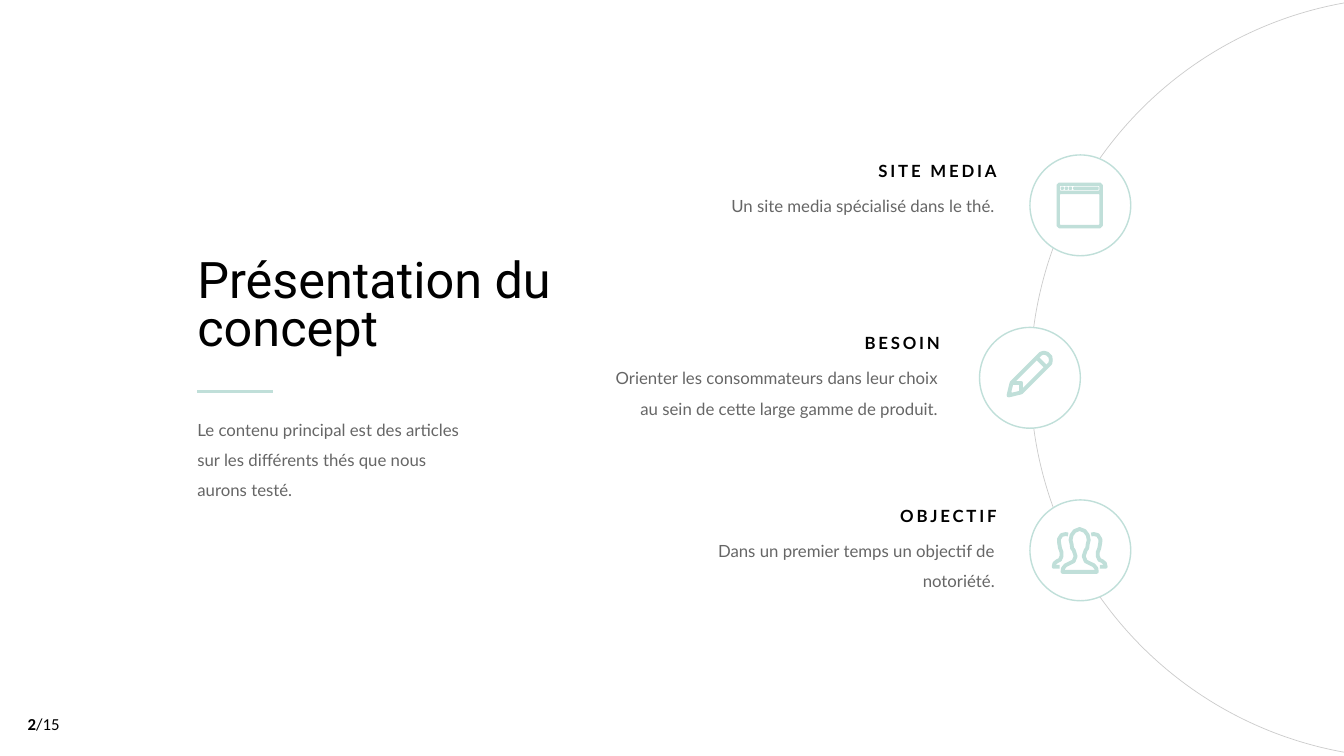
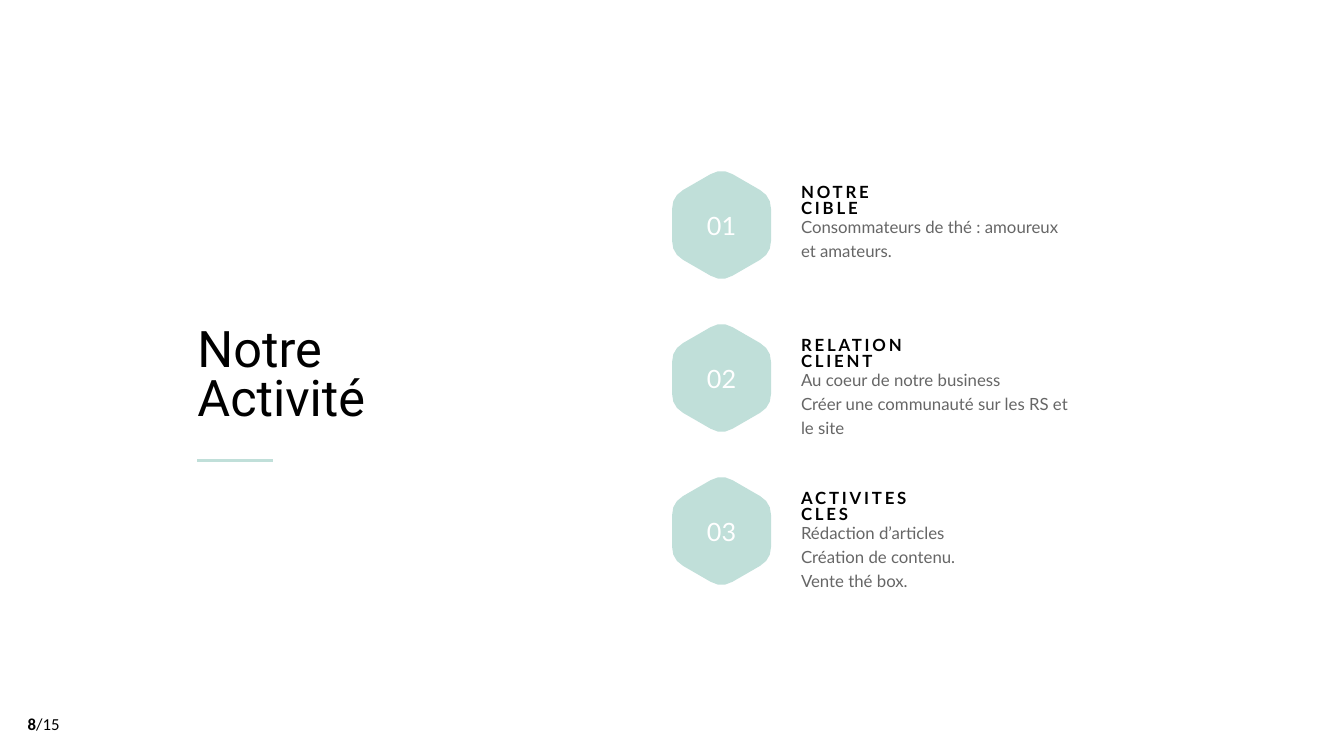
import math

import pptx
import pptx.dml.color
import pptx.enum.shapes
import pptx.enum.text
import pptx.oxml.ns
import pptx.util
from lxml import etree

Pt = pptx.util.Pt
RGBColor = pptx.dml.color.RGBColor
Align = pptx.enum.text.PP_ALIGN
Anchor = pptx.enum.text.MSO_ANCHOR
Shapes = pptx.enum.shapes.MSO_SHAPE

BLACK = RGBColor(0x00, 0x00, 0x00)
GREY = RGBColor(0x66, 0x66, 0x66)
PALE_GREY = RGBColor(0xCC, 0xCC, 0xCC)
WHITE = RGBColor(0xFF, 0xFF, 0xFF)
MINT = RGBColor(0xC0, 0xDF, 0xD9)

PAGE_COUNT = 15
LEFT = 141
ICON_UNIT = 0.72
ICON_STROKE = 2.75
CIRCLE_SIZE = 72
HEXAGON_RADIUS = 40.8

PENCIL_BODY = [(1.5, 43.5), (4.5, 31), (31.5, 4), (33.5, 2), (36.5, 1), (40, 2),
               (43, 5), (43.5, 8.5), (43, 11.5), (41, 13.5), (14, 40.5), (1.5, 43.5)]
PENCIL_CAP = [(29.5, 6), (39, 15.5)]
PENCIL_COLLAR = [(5, 31), (14, 31), (14, 40)]
PENCIL_TIP = [(2, 42), (4.5, 40.5)]
PERSON_HALF = [(-17, 67.5), (-16.5, 64), (-14, 61), (-10, 59), (-6, 57), (-4, 52),
               (-6, 46), (-7.5, 44), (-8, 40), (-9, 36), (-8, 31), (-5, 27), (0, 25)]
SIDE_PERSON = [(11.5, 30.5), (14, 30), (18, 31), (20.5, 35), (20.5, 38), (20, 41),
               (19.5, 44), (18, 48), (18, 52), (19.5, 55.5), (22.5, 57), (25, 59),
               (25.8, 62.5), (20, 62.5)]


def write(frame, text, size=12, font="Lato", color=BLACK, bold=False, align=Align.LEFT,
          leading=1.0, tracking=0, lead=""):
    """Fill a text frame with one paragraph of broken lines; lead is a bold start."""
    paragraph = frame.paragraphs[0]
    paragraph.alignment = align
    paragraph.line_spacing = leading
    paragraph.space_before = Pt(0)
    pieces = [(lead, True)] if lead else []
    for index, line in enumerate(text.split("\n")):
        if index:
            paragraph.add_line_break()
        for content, heavy in pieces + [(line, bold)]:
            run = paragraph.add_run()
            run.text = content
            run.font.size = Pt(size)
            run.font.name = font
            run.font.bold = heavy
            run.font.color.rgb = color
            if tracking:
                run.font._element.set("spc", str(tracking * 100))
        pieces = []


def prepare(frame, insets=(0, 0, 0, 0), anchor=Anchor.TOP):
    frame.word_wrap = True
    frame.auto_size = pptx.enum.text.MSO_AUTO_SIZE.NONE
    frame.vertical_anchor = anchor
    frame.margin_left, frame.margin_top, frame.margin_right, frame.margin_bottom = map(Pt, insets)
    return frame


def mirror(points):
    return [(-x, y) for x, y in reversed(points)]


def box(left, top, right, bottom, cut=0.0):
    """Closed rectangle outline, with its corners cut off when cut is given."""
    return [(left, top + cut), (left + cut, top), (right - cut, top), (right, top + cut),
            (right, bottom - cut), (right - cut, bottom), (left + cut, bottom),
            (left, bottom - cut), (left, top + cut)]


def rounded_hexagon(radius, cut=9, steps=3):
    """Outline around (0, 0), with each corner rounded from cut points before it."""
    corners = [(radius * math.sin(math.radians(angle)), -radius * math.cos(math.radians(angle)))
               for angle in range(0, 360, 60)]
    ratio = cut / radius
    outline = []
    for index, corner in enumerate(corners):
        before, after = corners[index - 1], corners[(index + 1) % 6]
        for step in range(steps + 1):
            t = step / steps
            outline.append(tuple(
                c + ratio * ((1 - t) ** 2 * (p - c) + t ** 2 * (n - c))
                for p, c, n in zip(before, corner, after)))
    return outline


class Deck:
    """Holds the presentation, its style and the current slide."""

    def __init__(self):
        self.presentation = pptx.Presentation()
        self.presentation.slide_width = Pt(960)
        self.presentation.slide_height = Pt(540)
        self.slide = None

    def add_slide(self, title, page, title_top, title_width, body=None):
        layout = self.presentation.slide_layouts[1 if body else 5]
        self.slide = self.presentation.slides.add_slide(layout)
        rule_top = title_top + 94
        frame = self.place(self.slide.shapes.title, LEFT, title_top, title_width, 70.6)
        write(frame, title, size=36, font="Roboto", leading=0.8)
        self.rule(LEFT, rule_top, 54.2)
        if body:
            self.body(body, rule_top + 13, 207)
        self.text(f"/{PAGE_COUNT}", 12.7, 506, 49, 21.8, insets=(7.2, 3.6, 7.2, 3.6),
                  font="Calibri", lead=str(page))

    def place(self, shape, left, top, width, height, insets=(0, 0, 0, 0)):
        shape.left, shape.top, shape.width, shape.height = map(Pt, (left, top, width, height))
        return prepare(shape.text_frame, insets)

    def body(self, text, top, width):
        frame = self.place(self.slide.placeholders[1], LEFT, top, width, 63.4, (0, 0, 7.2, 0))
        write(frame, text, color=GREY, leading=1.5)
        properties = frame.paragraphs[0]._p.get_or_add_pPr()
        properties.set("marL", "0")
        properties.set("indent", "0")
        etree.SubElement(properties, pptx.oxml.ns.qn("a:buNone"))

    def text(self, text, left, top, width, height, insets=(0, 0, 0, 0), **style):
        text_box = self.slide.shapes.add_textbox(0, 0, 0, 0)
        write(self.place(text_box, left, top, width, height, insets), text, **style)

    def heading(self, text, left, top, width, align=Align.LEFT):
        self.text(text, left, top, width, 12.2, bold=True, tracking=2, leading=0.8, align=align)

    def detail(self, text, left, top, width, height, leading, align=Align.LEFT):
        self.text(text, left, top, width, height, insets=(0, 0, 7.2, 0), color=GREY,
                  leading=leading, align=align)

    def rule(self, left, top, width):
        rule = self.slide.shapes.add_connector(
            pptx.enum.shapes.MSO_CONNECTOR.STRAIGHT, Pt(left), Pt(top), Pt(left + width), Pt(top))
        rule.line.color.rgb = MINT
        rule.line.width = Pt(2)
        etree.SubElement(rule._element.spPr, pptx.oxml.ns.qn("a:effectLst"))

    def paint(self, shape, fill=None, line=None, weight=1.0):
        shape.shadow.inherit = False
        if fill is None:
            shape.fill.background()
        else:
            shape.fill.solid()
            shape.fill.fore_color.rgb = fill
        if line is None:
            shape.line.fill.background()
        else:
            shape.line.color.rgb = line
            shape.line.width = Pt(weight)
        return shape

    def circle(self, left, top, size, **paint):
        shape = self.slide.shapes.add_shape(Shapes.OVAL, Pt(left), Pt(top), Pt(size), Pt(size))
        self.paint(shape, **paint)

    def outline(self, contours, left, top, unit=1.0, closed=False, **paint):
        """Draw contours, counted in units from (left, top), as one freeform."""
        builder = None
        for contour in contours:
            first, *rest = [(Pt(left + x * unit), Pt(top + y * unit)) for x, y in contour]
            if builder is None:
                builder = self.slide.shapes.build_freeform(*first)
            else:
                builder.move_to(*first)
            builder.add_line_segments(rest, close=closed)
        return self.paint(builder.convert_to_shape(), **paint)

    def hexagon(self, label, center_x, center_y):
        shape = self.outline([rounded_hexagon(HEXAGON_RADIUS)], center_x, center_y,
                             closed=True, fill=MINT)
        write(prepare(shape.text_frame, anchor=Anchor.MIDDLE), label, size=18, color=WHITE,
              align=Align.CENTER)

    def browser_icon(self, left, top):
        dots = [box(x, 4, x + 2, 6, 0.5) for x in (4, 8, 12)]
        contours = [box(0, 0, 44.5, 44, 2), box(2, 10, 42.5, 42, 1), box(2, 2, 42.5, 8, 1),
                    box(16.5, 4, 40.5, 6, 0.5), *dots]
        self.outline(contours, left + 19.5, top + 20.2, ICON_UNIT, closed=True,
                     fill=MINT, line=MINT)

    def pencil_icon(self, left, top):
        self.outline([PENCIL_BODY, PENCIL_CAP, PENCIL_COLLAR, PENCIL_TIP], left + 19.6, top + 17.3,
                     ICON_UNIT, line=MINT, weight=ICON_STROKE)

    def people_icon(self, left, top):
        person = PERSON_HALF + mirror(PERSON_HALF)[1:] + PERSON_HALF[:1]
        self.outline([person, SIDE_PERSON, mirror(SIDE_PERSON)], left + 35.5, top + 2.8,
                     ICON_UNIT, line=MINT, weight=ICON_STROKE)


def add_concept_slide(deck):
    deck.add_slide("Présentation du concept", 2, 185.6, 258.5,
                   "Le contenu principal est des articles sur les différents thés "
                   "que nous aurons testé.")
    deck.circle(736, -2.1, 543.6, line=PALE_GREY, weight=0.5)
    rows = [
        (735.7, 712, deck.browser_icon, "SITE MEDIA", "Un site media spécialisé dans le thé.", 19.4),
        (699.7, 671.5, deck.pencil_icon, "BESOIN",
         "Orienter les consommateurs dans leur choix au sein de cette large gamme de produit.", 41),
        (735.7, 712, deck.people_icon, "OBJECTIF",
         "Dans un premier temps un objectif de notoriété.", 41),
    ]
    for index, (left, text_right, draw_icon, heading, detail, height) in enumerate(rows):
        top = 110.7 + 123.2 * index
        deck.circle(left, top, CIRCLE_SIZE, fill=WHITE, line=MINT)
        draw_icon(left, top)
        deck.heading(heading, text_right - 284, top + 6.6, 284, Align.RIGHT)
        deck.detail(detail, text_right - 234, top + 21.8, 239.7, height, 1.5, Align.RIGHT)


def add_activity_slide(deck):
    deck.add_slide("Notre\nActivité", 8, 235.2, 290)
    rows = [
        ("NOTRE CIBLE", 87.1, "Consommateurs de thé : amoureux et amateurs.", 33.8),
        ("RELATION CLIENT", 117.4,
         "Au coeur de notre business\nCréer une communauté sur les RS et le site", 51.1),
        ("ACTIVITES CLES", 105.1,
         "Rédaction d’articles\nCréation de contenu.\nVente thé box.", 51.1),
    ]
    for index, (heading, heading_width, detail, height) in enumerate(rows):
        center_y = 160.7 + 109.3 * index
        deck.hexagon(f"{index + 1:02}", 515.4, center_y)
        deck.heading(heading, 572.2, center_y - 28.2, heading_width)
        deck.detail(detail, 572.2, center_y - 8.8, 199.4, height, 1.2)


def main():
    deck = Deck()
    add_concept_slide(deck)
    add_activity_slide(deck)
    deck.presentation.save("out.pptx")


if __name__ == "__main__":
    main()
